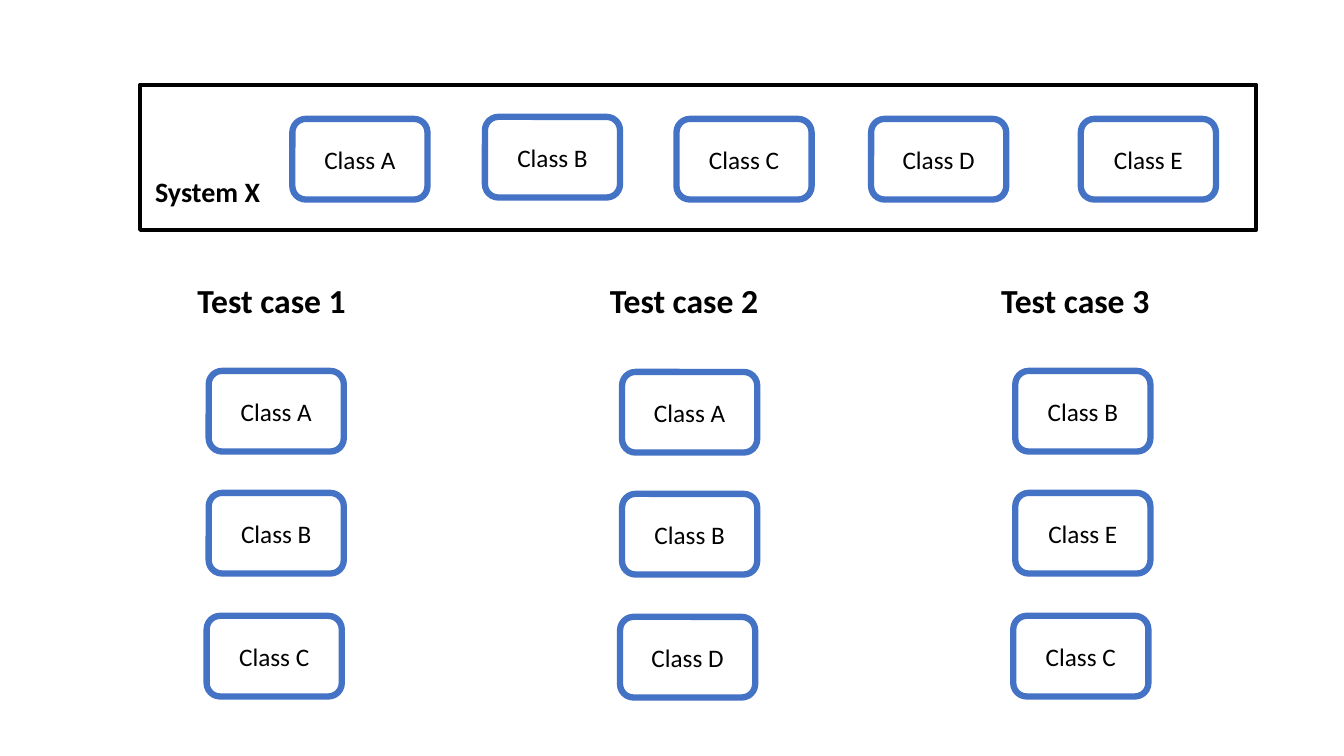
from pptx import Presentation
from pptx.dml.color import RGBColor
from pptx.enum.shapes import MSO_SHAPE
from pptx.enum.text import MSO_ANCHOR, MSO_AUTO_SIZE, PP_ALIGN
from pptx.util import Emu, Pt

EMU_PER_PX = 9144


def px(length):
    return Emu(length * EMU_PER_PX)


def color(value):
    return RGBColor.from_string(value)


class Diagram:
    font = "Calibri"
    ink = "000000"
    paper = "FFFFFF"
    accent = "4472C4"
    class_width, class_height = 134, 80

    def __init__(self, page):
        self.page = page
        self.group = None

    def start_group(self):
        self.group = self.page.shapes.add_group_shape()

    def outline(self, kind, left, top, width, height, line, weight):
        box = self.group.shapes.add_shape(
            kind, px(left), px(top), px(width), px(height))
        box.shadow.inherit = False
        box.fill.solid()
        box.fill.fore_color.rgb = color(self.paper)
        box.line.color.rgb = color(line)
        box.line.width = Pt(weight)
        return box

    def set_text(self, box, text, size, bold, align):
        para = box.text_frame.paragraphs[0]
        para.text = text
        para.alignment = align
        para.font.name = self.font
        para.font.size = Pt(size)
        para.font.bold = bold
        para.font.color.rgb = color(self.ink)

    def frame(self, left, top, width, height):
        self.outline(MSO_SHAPE.RECTANGLE, left, top, width, height, self.ink, 3)

    def class_box(self, name, left, top):
        box = self.outline(MSO_SHAPE.ROUNDED_RECTANGLE, left, top,
                           self.class_width, self.class_height, self.accent, 4.5)
        box.text_frame.vertical_anchor = MSO_ANCHOR.MIDDLE
        self.set_text(box, f"Class {name}", 18, False, PP_ALIGN.CENTER)

    def label(self, text, left, top, width, height, size):
        box = self.group.shapes.add_textbox(
            px(left), px(top), px(width), px(height))
        box.text_frame.word_wrap = False
        box.text_frame.auto_size = MSO_AUTO_SIZE.SHAPE_TO_FIT_TEXT
        self.set_text(box, text, size, True, PP_ALIGN.LEFT)


def main():
    deck = Presentation()
    deck.slide_width, deck.slide_height = px(1333), px(750)
    diagram = Diagram(deck.slides.add_slide(deck.slide_layouts[6]))

    test_cases = [
        ("ABC", 186, 207, 368),
        ("ABD", 595, 617, 369),
        ("BEC", 983, 1007, 368),
    ]
    row_offsets = [(0, 0), (0, 121), (-2, 243)]
    for number, (names, title_left, left, top) in enumerate(test_cases, 1):
        diagram.start_group()
        diagram.label(f"Test case {number}", title_left, 273, 169, 50, 24)
        for name, (shift, drop) in zip(names, row_offsets):
            diagram.class_box(name, left + shift, top + drop)

    system_classes = [
        ("A", 290, 118),
        ("B", 481, 116),
        ("C", 671, 118),
        ("D", 864, 118),
        ("E", 1072, 118),
    ]
    diagram.start_group()
    diagram.frame(139, 84, 1107, 144)
    for name, left, top in system_classes:
        diagram.class_box(name, left, top)
    diagram.label("System X", 144, 168, 125, 44, 20)

    deck.save("out.pptx")


if __name__ == "__main__":
    main()
